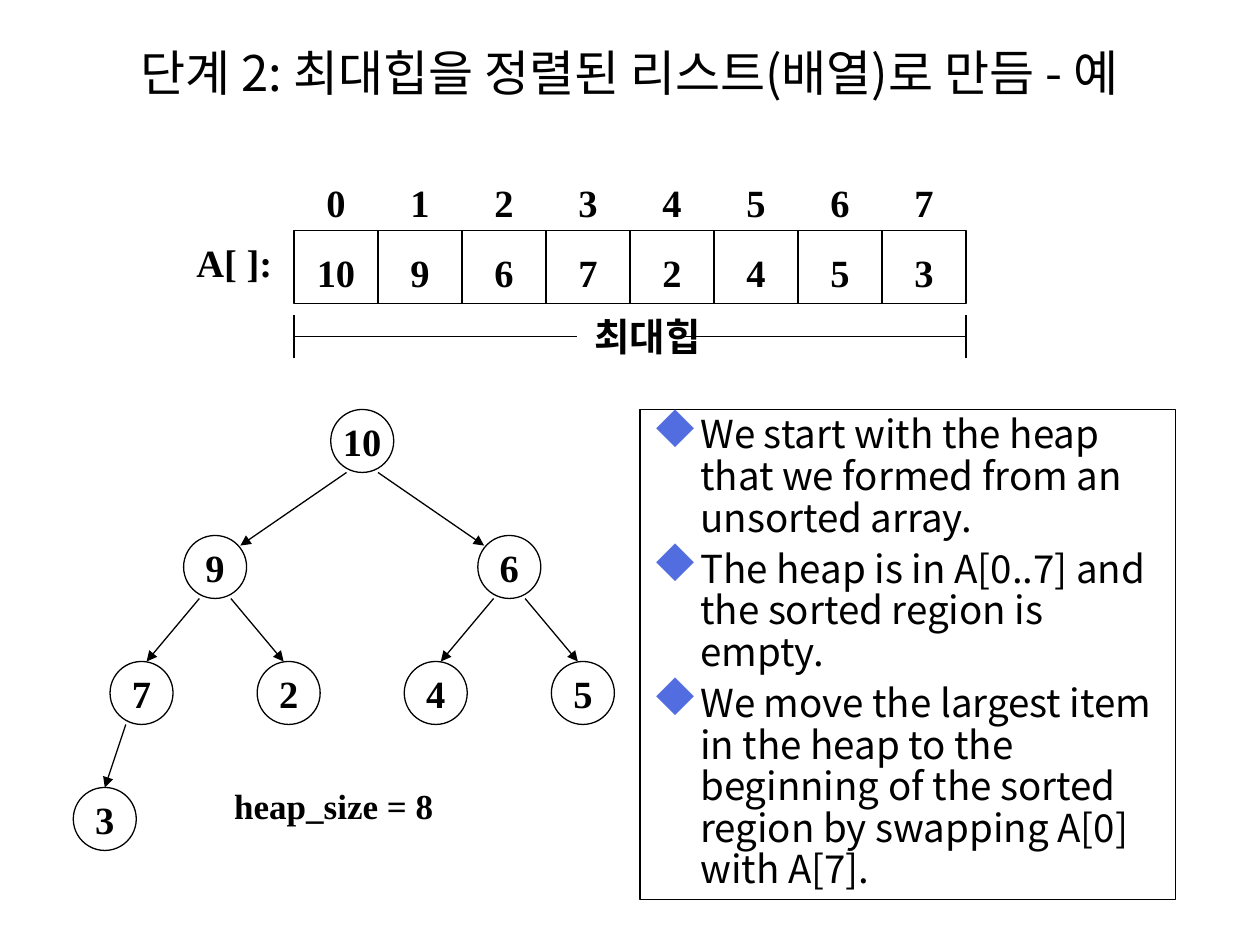
"""Build a slide on turning a max heap into a sorted array."""
from dataclasses import dataclass

from pptx import Presentation
from pptx.dml.color import RGBColor
from pptx.enum.shapes import MSO_CONNECTOR, MSO_SHAPE
from pptx.enum.text import MSO_ANCHOR, PP_ALIGN
from pptx.oxml.ns import qn
from pptx.util import Inches, Pt


@dataclass(frozen=True)
class Theme:
    ink: RGBColor = RGBColor(0, 0, 0)
    bullet: str = "526DE0"
    sans: str = "Noto Sans CJK KR"
    serif: str = "Times New Roman"
    symbol: str = "Wingdings"
    title: int = 28
    body: int = 22
    note: int = 20
    line: float = 0.75


TH = Theme()
TITLE = "단계 2: 최대힙을 정렬된 리스트(배열)로 만듬 - 예"
HEAP = [10, 9, 6, 7, 2, 4, 5, 3]
ARRAY_NAME, RANGE_NAME = "A[ ]:", "최대힙"
NOTE = f"heap_size = {len(HEAP)}"
POINTS = [
    "We start with the heap that we formed from an unsorted array.",
    "The heap is in A[0..7] and the sorted region is empty.",
    "We move the largest item in the heap to the beginning of the sorted "
    "region by swapping A[0] with A[7].",
]
SLIDE_W, SLIDE_H = 10, 7.5
COL, ROW = SLIDE_W / 15, 0.58
ARRAY_X, ARRAY_Y = 3.5 * COL, 1.83
ARRAY_END = ARRAY_X + len(HEAP) * COL
RANGE_Y, TICK, RANGE_GAP = 2.67, 0.17, (4.58, 5.42)
NODE, TREE_X, TREE_Y, TREE_W, LEVEL_H = 0.5, 0.54, 3.25, 4.67, 1
TIPS = {1: (0.2, 0.08), 2: (0.04, 0), 3: (0, 0)}
LABEL_H = 0.51


def box(*lengths):
    return [Inches(v) for v in lengths]


def style(p, size, face, bold=False):
    for r in p.runs:
        r.font.size, r.font.name, r.font.bold = Pt(size), face, bold
        r.font.color.rgb = TH.ink
        ea = r._r.get_or_add_rPr().makeelement(qn("a:ea"), {"typeface": TH.sans})
        r.font._element.find(qn("a:latin")).addnext(ea)


def write(s, text, size=TH.body, align=PP_ALIGN.CENTER):
    tf = s.text_frame
    tf.text = str(text)
    tf.word_wrap = False
    tf.vertical_anchor = MSO_ANCHOR.MIDDLE
    p = tf.paragraphs[0]
    p.alignment, p.line_spacing = align, 1.1
    style(p, size, TH.serif, True)
    return tf


def label(text, x, y, w, h=LABEL_H, **kw):
    write(sl.shapes.add_textbox(*box(x, y, w, h)), text, **kw)


def outline(kind, x, y, w, h):
    s = sl.shapes.add_shape(kind, *box(x, y, w, h))
    s.shadow.inherit = False
    s.fill.background()
    s.line.color.rgb, s.line.width = TH.ink, Pt(TH.line)
    return s


def line(x1, y1, x2, y2, arrow=False):
    c = sl.shapes.add_connector(MSO_CONNECTOR.STRAIGHT, *box(x1, y1, x2, y2))
    c.line.color.rgb, c.line.width = TH.ink, Pt(TH.line)
    if arrow:
        ln = c.line._get_or_add_ln()
        ln.append(ln.makeelement(qn("a:tailEnd"), {"type": "triangle"}))
    pr = c._element.spPr
    pr.append(pr.makeelement(qn("a:effectLst"), {}))


def add_title():
    s = sl.shapes.title
    s.left, s.top, s.width, s.height = box(0.58, 0, 8.83, 1.14)
    tf = s.text_frame
    tf.text = TITLE
    tf.margin_left = tf.margin_right = 0
    tf.vertical_anchor = MSO_ANCHOR.MIDDLE
    tf.paragraphs[0].alignment = PP_ALIGN.CENTER
    style(tf.paragraphs[0], TH.title, TH.sans)


def add_array():
    for i, value in enumerate(HEAP):
        x = ARRAY_X + i * COL
        label(i, x, ARRAY_Y - 0.5, COL)
        tf = write(outline(MSO_SHAPE.RECTANGLE, x, ARRAY_Y, COL, ROW), value)
        tf.margin_top, tf.margin_bottom = box(0.05, 0)
    label(ARRAY_NAME, 1.46, ARRAY_Y - 0.02, 0.8)
    label(RANGE_NAME, 4.62, 2.39, 1.04)
    for edge, gap in zip((ARRAY_X, ARRAY_END), RANGE_GAP):
        line(edge, RANGE_Y - TICK, edge, RANGE_Y + TICK)
        line(min(edge, gap), RANGE_Y, max(edge, gap), RANGE_Y)


def node_at(i):
    level = (i + 1).bit_length() - 1
    place = i + 1 - 2 ** level
    x = TREE_X + TREE_W * (place + 0.5) / 2 ** level
    return x, TREE_Y + level * LEVEL_H, level


def add_tree():
    for i, value in enumerate(HEAP):
        x, y, level = node_at(i)
        s = outline(MSO_SHAPE.OVAL, x - NODE / 2, y, NODE, NODE)
        tf = write(s, value)
        tf.margin_left = tf.margin_right = tf.margin_top = 0
        tf.margin_bottom = Inches(0.03)
        if i:
            px, py, _ = node_at((i - 1) // 2)
            side = -1 if i % 2 else 1
            dx, dy = TIPS[level]
            line(px + side * NODE / 4, py + NODE, x - side * dx, y + dy, True)
    label(NOTE, 1.76, 6.14, 2.28, 0.47, size=TH.note, align=PP_ALIGN.LEFT)


def add_bullet(p):
    pr = p._p.get_or_add_pPr()
    pr.set("marL", str(Inches(0.38)))
    pr.set("indent", str(-Inches(0.38)))
    color = pr.makeelement(qn("a:buClr"), {})
    color.append(pr.makeelement(qn("a:srgbClr"), {"val": TH.bullet}))
    pr.append(color)
    for tag, attrs in (("a:buSzPct", {"val": "120000"}),
                       ("a:buFont", {"typeface": TH.symbol, "charset": "2"}),
                       ("a:buChar", {"char": "u"})):
        pr.append(pr.makeelement(qn(tag), attrs))


def add_points():
    tf = outline(MSO_SHAPE.RECTANGLE, 5.08, TREE_Y, 4.25, 3.89).text_frame
    tf.word_wrap, tf.vertical_anchor = True, MSO_ANCHOR.TOP
    for i, text in enumerate(POINTS):
        p = tf.add_paragraph() if i else tf.paragraphs[0]
        p.text = text
        add_bullet(p)
        p.alignment, p.line_spacing = PP_ALIGN.LEFT, 0.9
        p.space_before = Pt(5.5 if i else 0)
        style(p, TH.body, TH.sans)


prs = Presentation()
prs.slide_width, prs.slide_height = box(SLIDE_W, SLIDE_H)
sl = prs.slides.add_slide(prs.slide_layouts[5])
add_title()
add_array()
add_tree()
add_points()
prs.save("out.pptx")
